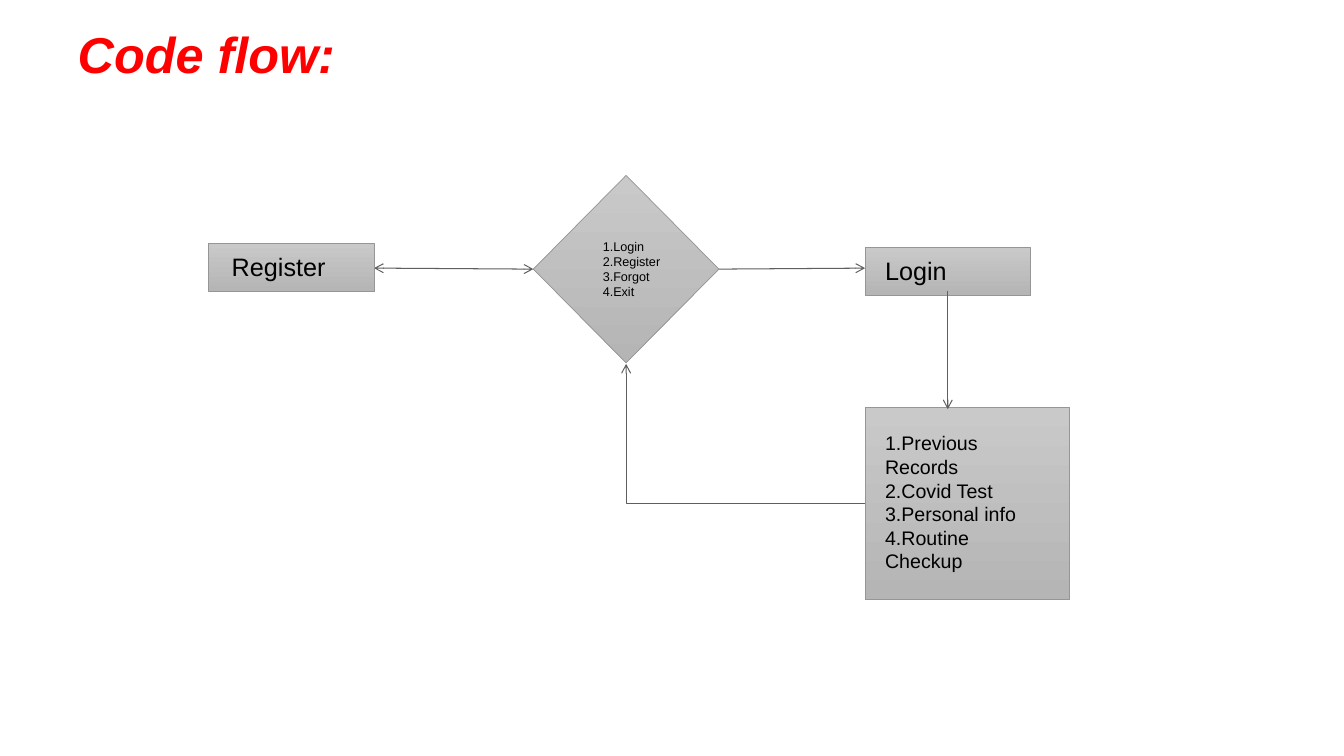
from pptx import Presentation, util as u
from pptx.dml.color import RGBColor
from pptx.enum import shapes, text
from pptx.oxml import ns
from lxml import etree

COLORS = {"title": "FF0000", "text": "000000", "top": "C9C9C9",
          "bottom": "B5B5B5", "edge": "969696", "arrow": "5F5F5F"}
FONT = "Arial"
SHAPE = shapes.MSO_SHAPE


def rgb(name):
    """Return the named colour."""
    return RGBColor.from_string(COLORS[name])


def inches(*values):
    """Turn numbers into lengths."""
    return [u.Inches(v) for v in values]


def write(tf, lines, color, **fmt):
    """Write one paragraph per line with the given font values."""
    for i, line in enumerate(lines):
        p = tf.paragraphs[0] if i == 0 else tf.add_paragraph()
        p.alignment = text.PP_ALIGN.LEFT
        r = p.add_run()
        r.text = line
        r.font.color.rgb = rgb(color)
        for key, value in {"name": FONT, **fmt}.items():
            setattr(r.font, key, value)


def add_title(s, box, title):
    """Place and format the title placeholder."""
    sp = s.shapes.title
    sp.left, sp.top, sp.width, sp.height = inches(*box)
    tf = sp.text_frame
    for key, value in {"vertical_anchor": text.MSO_ANCHOR.MIDDLE,
                       "auto_size": text.MSO_AUTO_SIZE.NONE,
                       "word_wrap": True}.items():
        setattr(tf, key, value)
    write(tf, [title], "title", size=u.Pt(36), bold=True, italic=True)


def add_node(s, kind, box, inset, lines, size):
    """Draw a shaded node with a label set in from its edges."""
    sp = s.shapes.add_shape(kind, *inches(*box))
    sp.shadow.inherit = False
    sp.fill.gradient()
    sp.fill.gradient_angle = 270
    for stop, name in zip(sp.fill.gradient_stops, ("top", "bottom")):
        stop.color.rgb = rgb(name)
    sp.line.color.rgb = rgb("edge")
    sp.line.width = u.Pt(0.5)
    x, y, w, h = box
    dx, dy, right, bottom = inset
    label = s.shapes.add_textbox(
        *inches(x + dx, y + dy, w - dx - right, h - dy - bottom))
    label.text_frame.word_wrap = True
    write(label.text_frame, lines, "text", size=u.Pt(size))


def add_arrow(s, start, end, ends=("tailEnd",), bent=False):
    """Connect two points, with arrowheads at the named ends."""
    kind = shapes.MSO_CONNECTOR.ELBOW if bent else shapes.MSO_CONNECTOR.STRAIGHT
    first, last = (end, start) if bent else (start, end)
    c = s.shapes.add_connector(kind, *inches(*first, *last))
    c.line.color.rgb = rgb("arrow")
    c.line.width = u.Pt(0.75)
    spPr = c._element.spPr
    if bent:
        spPr.find(ns.qn("a:prstGeom")).set("prst", "bentConnector2")
        spPr.find(ns.qn("a:xfrm")).set("rot", str(180 * 60000))
    for name in ends:
        etree.SubElement(spPr.find(ns.qn("a:ln")), ns.qn(f"a:{name}"), type="arrow")
    etree.SubElement(spPr, ns.qn("a:effectLst"))


def add_flow(s, x, y):
    """Draw the flow chart from its left edge x and its main axis y."""
    bar_w, bar_h = 1.64, 0.48
    menu_x, login_x = x + 3.22, x + 6.51
    menu_w, menu_h = 1.84, 1.86
    records_y, records_h = y + 1.37, 1.91
    menu_mid, records_mid = menu_x + menu_w / 2, records_y + records_h / 2

    add_node(s, SHAPE.DIAMOND, (menu_x, y - menu_h / 2, menu_w, menu_h),
             (0.59, 0.58, 0.43, 0.57),
             ["1.Login", "2.Register", "3.Forgot", "4.Exit"], 9)
    add_arrow(s, (menu_x + menu_w, y), (login_x, y - 0.01))
    add_node(s, SHAPE.RECTANGLE, (login_x, records_y, 2.03, records_h),
             (0.1, 0.19, 0.09, 0.21),
             ["1.Previous Records", "2.Covid Test", "3.Personal info",
              "4.Routine Checkup"], 14)
    add_arrow(s, (menu_x, y), (x + bar_w, y - 0.01), ("headEnd", "tailEnd"))
    add_node(s, SHAPE.RECTANGLE, (x, y - 0.26, bar_w, bar_h),
             (0.13, 0.03, 0.12, 0.05), ["Register"], 18)
    add_node(s, SHAPE.RECTANGLE, (login_x, y - 0.22, bar_w, bar_h),
             (0.1, 0.03, 0.1, 0.05), ["Login"], 18)
    down_x = login_x + bar_w / 2
    add_arrow(s, (down_x, y + 0.22), (down_x, records_y + 0.02))
    add_arrow(s, (login_x, records_mid), (menu_mid, y + menu_h / 2 + 0.01), bent=True)


def main():
    """Build the slide and save it."""
    prs = Presentation()
    prs.slide_width, prs.slide_height = inches(13.33, 7.5)
    s = prs.slides.add_slide(prs.slide_layouts[5])
    add_title(s, (0.67, 0.21, 12, 0.64), "Code flow:")
    add_flow(s, 2.07, 2.67)
    prs.save("out.pptx")


if __name__ == "__main__":
    main()
